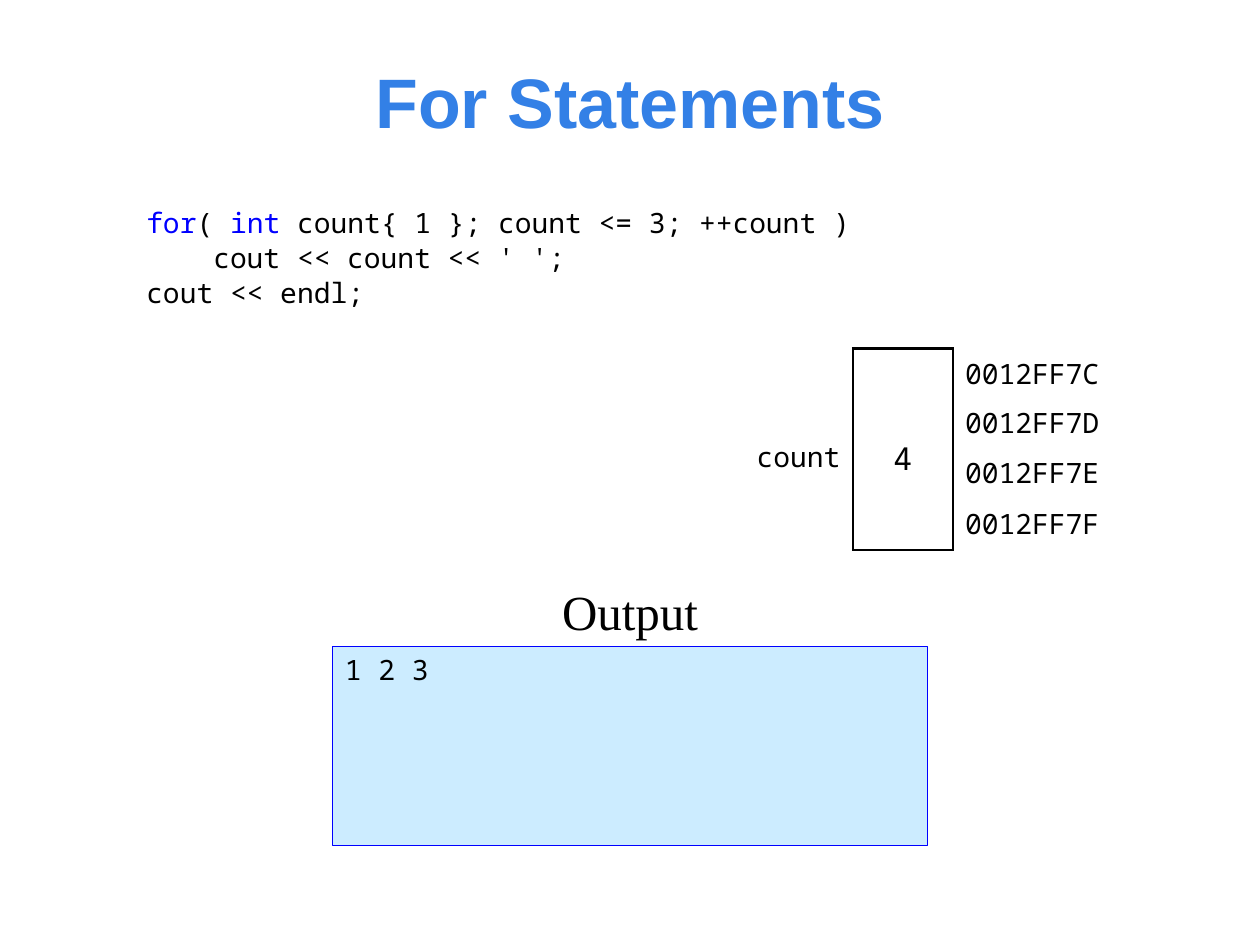
from dataclasses import dataclass

from lxml.etree import SubElement
from pptx import Presentation
from pptx.dml.color import RGBColor
from pptx.enum.shapes import MSO_SHAPE
from pptx.enum.text import MSO_ANCHOR, PP_ALIGN
from pptx.oxml.ns import qn
from pptx.util import Pt

MONO = "Noto Sans Mono"
BLACK, BLUE, SKY, TITLE_BLUE = "000000", "0000FF", "CCECFF", "3380E6"
NO_GRID_STYLE = "{2D5ABB26-0587-4C30-8999-92F81FD0307C}"
ADDRESSES = ("0012FF7C", "0012FF7D", "0012FF7E", "0012FF7F")
CODE = (
    (("for", BLUE), ("( ", BLACK), ("int ", BLUE),
     ("count{ 1 }; count <= 3; ++count )", BLACK)),
    (("    cout << count << ' ';", BLACK),),
    (("cout << endl;", BLACK),),
)


@dataclass(frozen=True)
class Box:
    left: float
    top: float
    width: float
    height: float

    def lengths(self) -> tuple:
        return tuple(Pt(value) for value in
                     (self.left, self.top, self.width, self.height))


def color(value: str) -> RGBColor:
    return RGBColor.from_string(value)


def write(frame, text, *, size=16, font=MONO, fill=BLACK, bold=False,
          align=PP_ALIGN.LEFT, anchor=MSO_ANCHOR.TOP, wrap=True,
          line_spacing=None, gap=0) -> None:
    """Fill a text frame from a string or from lines of (text, colour) runs."""
    lines = (((text, fill),),) if isinstance(text, str) else text
    frame.word_wrap = wrap
    frame.vertical_anchor = anchor
    for index, line in enumerate(lines):
        paragraph = frame.add_paragraph() if index else frame.paragraphs[0]
        paragraph.alignment = align
        if line_spacing:
            paragraph.line_spacing = line_spacing
        if index:
            paragraph.space_before = Pt(gap)
        for words, run_color in line:
            run = paragraph.add_run()
            run.text = words
            run.font.name = font
            run.font.size = Pt(size)
            run.font.bold = bold
            run.font.color.rgb = color(run_color)


def add_text(slide, box: Box, text, **style) -> None:
    write(slide.shapes.add_textbox(*box.lengths()).text_frame, text, **style)


def add_output_panel(slide, box: Box, text: str) -> None:
    panel = slide.shapes.add_shape(MSO_SHAPE.RECTANGLE, *box.lengths())
    panel.shadow.inherit = False
    panel.fill.solid()
    panel.fill.fore_color.rgb = color(SKY)
    panel.line.color.rgb = color(BLUE)
    panel.line.width = Pt(0.75)
    write(panel.text_frame, text)


def set_borders(cell, sides: str, width: float = 1.5) -> None:
    properties = cell._tc.get_or_add_tcPr()
    for index, side in enumerate(s for s in "LRTB" if s in sides):
        line = SubElement(properties, qn(f"a:ln{side}"), w=str(Pt(width)))
        fill = SubElement(line, qn("a:solidFill"))
        SubElement(fill, qn("a:srgbClr"), val=BLACK)
        properties.insert(index, line)


def write_cell(cell, text: str, inset: float, **style) -> None:
    write(cell.text_frame, text, **style)
    cell.vertical_anchor = MSO_ANCHOR.MIDDLE
    cell.margin_top = cell.margin_bottom = Pt(inset)


def add_memory_table(slide, box: Box, widths: tuple) -> None:
    rows = len(ADDRESSES)
    table = slide.shapes.add_table(rows, len(widths), *box.lengths()).table
    table.first_row = table.horz_banding = False
    table._tbl.tblPr.find(qn("a:tableStyleId")).text = NO_GRID_STYLE
    for column, width in zip(table.columns, widths):
        column.width = Pt(width)
    for row in table.rows:
        row.height = Pt(box.height / rows)
    for cell in table.iter_cells():
        cell.fill.background()
    for column in (0, 1):
        table.cell(0, column).merge(table.cell(rows - 1, column))
    write_cell(table.cell(0, 0), "count", 0, align=PP_ALIGN.RIGHT, line_spacing=1.4)
    write_cell(table.cell(0, 1), "4", 0, size=18, align=PP_ALIGN.CENTER,
               line_spacing=1.4)
    for index, address in enumerate(ADDRESSES):
        write_cell(table.cell(index, 2), address, 2.88)
        set_borders(table.cell(index, 0), "R")
        set_borders(table.cell(index, 1), "LRTB" if index == 0 else
                    "LRB" if index == rows - 1 else "LR")
        set_borders(table.cell(index, 2), "L")


def main() -> None:
    presentation = Presentation()
    presentation.slide_width, presentation.slide_height = Pt(720), Pt(540)
    slide = presentation.slides.add_slide(presentation.slide_layouts[6])
    add_text(slide, Box(76.5, 28.8, 567, 56.9), "For Statements", size=40,
             font="Arial", fill=TITLE_BLUE, bold=True,
             align=PP_ALIGN.CENTER, anchor=MSO_ANCHOR.MIDDLE)
    add_text(slide, Box(76.5, 113.8, 510.5, 85), CODE, gap=0.8)
    add_output_panel(slide, Box(190, 369.4, 340, 113.6), "1 2 3")
    add_memory_table(slide, Box(402.5, 199.2, 241.2, 113.4), (85, 56.9, 99.3))
    add_text(slide, Box(303.4, 326.9, 113.2, 42.5), "Output", size=28,
             font="Times New Roman", align=PP_ALIGN.CENTER,
             anchor=MSO_ANCHOR.BOTTOM, wrap=False)
    presentation.save("out.pptx")


if __name__ == "__main__":
    main()
